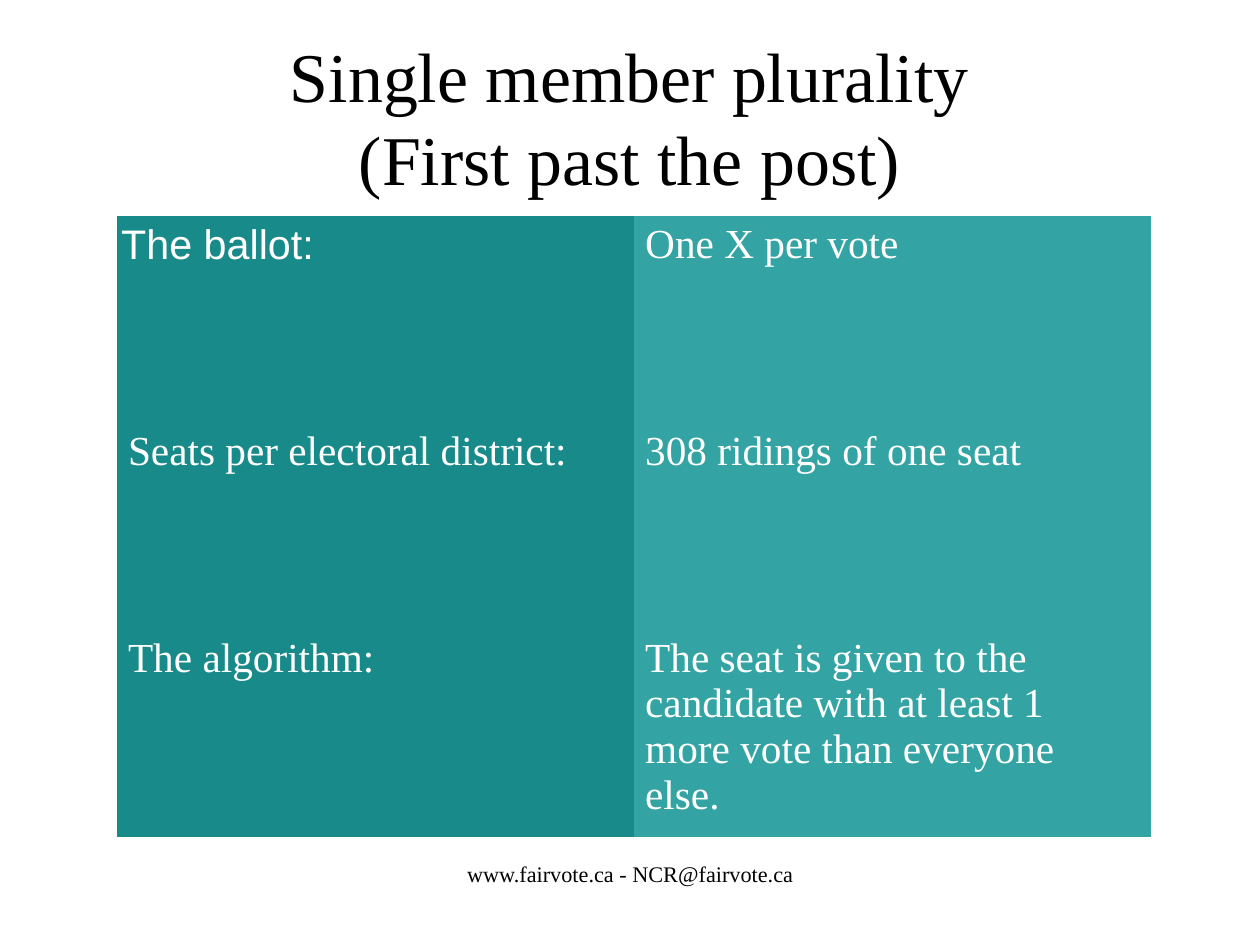
from pptx import Presentation
from pptx.dml.color import RGBColor
from pptx.enum.text import MSO_ANCHOR, MSO_AUTO_SIZE, PP_ALIGN
from pptx.util import Inches, Pt

TITLE = "Single member plurality\n(First past the post)"
ROWS = [
    ("The ballot:", "One X per vote"),
    ("Seats per electoral district:", "308 ridings of one seat"),
    ("The algorithm:",
     "The seat is given to the candidate with at least 1 more vote than everyone else."),
]
FOOTER = "www.fairvote.ca - NCR@fairvote.ca"

CM_PER_INCH = 2.54
BLACK = RGBColor(0x00, 0x00, 0x00)
WHITE = RGBColor(0xFF, 0xFF, 0xFF)
DARK_TEAL = RGBColor(0x19, 0x8A, 0x8A)
LIGHT_TEAL = RGBColor(0x33, 0xA3, 0xA3)
SERIF = "Times New Roman"
SANS = "Arial"
PLAIN_TABLE = "{2D5ABB26-0587-4C30-8999-92F81FD0307C}"


def write(tf, text, size, color, font=SERIF, align=PP_ALIGN.LEFT):
    tf.word_wrap = True
    tf.margin_left = tf.margin_right = tf.margin_top = tf.margin_bottom = 0
    p = tf.paragraphs[0]
    p.text = text
    p.alignment = align
    for r in p.runs:
        r.font.name = font
        r.font.size = Pt(size)
        r.font.bold = False
        r.font.color.rgb = color


prs = Presentation()
prs.slide_width = Inches(28 / CM_PER_INCH)
prs.slide_height = Inches(21 / CM_PER_INCH)
s = prs.slides.add_slide(prs.slide_layouts[5])

title = s.shapes.title
title.left, title.top = Inches(0.55), Inches(0.34)
title.width, title.height = Inches(9.92), Inches(1.35)
tf = title.text_frame
tf.auto_size = MSO_AUTO_SIZE.NONE
tf.vertical_anchor = MSO_ANCHOR.MIDDLE
write(tf, TITLE, 44, BLACK, align=PP_ALIGN.CENTER)

frame = s.shapes.add_table(len(ROWS), 2, Inches(1.02), Inches(1.89),
                           Inches(9.05), Inches(5.43))
table = frame.table
table.first_row = table.horz_banding = False
table._tbl.tblPr.find("{*}tableStyleId").text = PLAIN_TABLE
for i, row in enumerate(ROWS):
    for j, text in enumerate(row):
        cell = table.cell(i, j)
        cell.fill.solid()
        cell.fill.fore_color.rgb = (DARK_TEAL, LIGHT_TEAL)[j]
        first = i == j == 0
        write(cell.text_frame, text, 26, WHITE, font=SANS if first else SERIF)
        cell.margin_left = cell.margin_right = Inches(0.04 if first else 0.1)
        cell.margin_top = cell.margin_bottom = Inches(0.05)

footer = s.shapes.add_textbox(Inches(3.77), Inches(7.53), Inches(3.49), Inches(0.57))
write(footer.text_frame, FOOTER, 14, BLACK, align=PP_ALIGN.CENTER)

prs.save("out.pptx")
